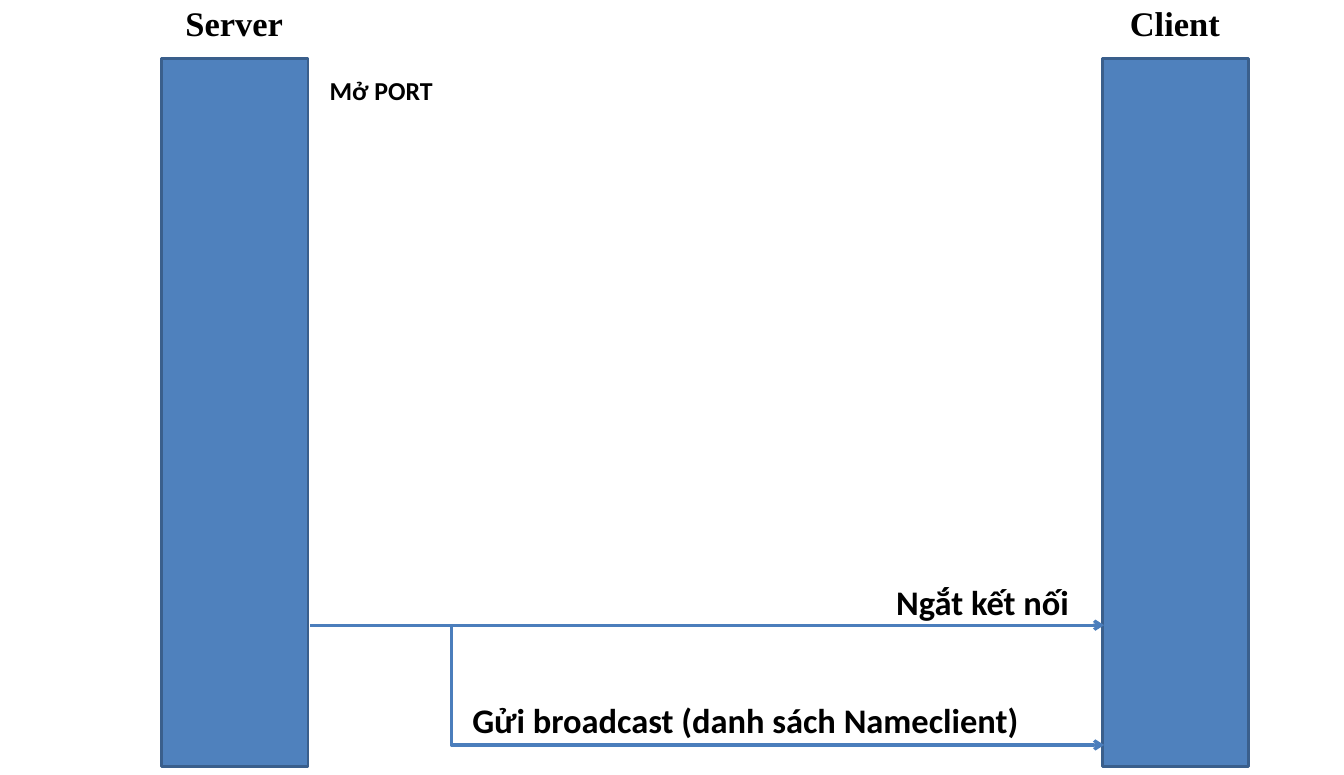
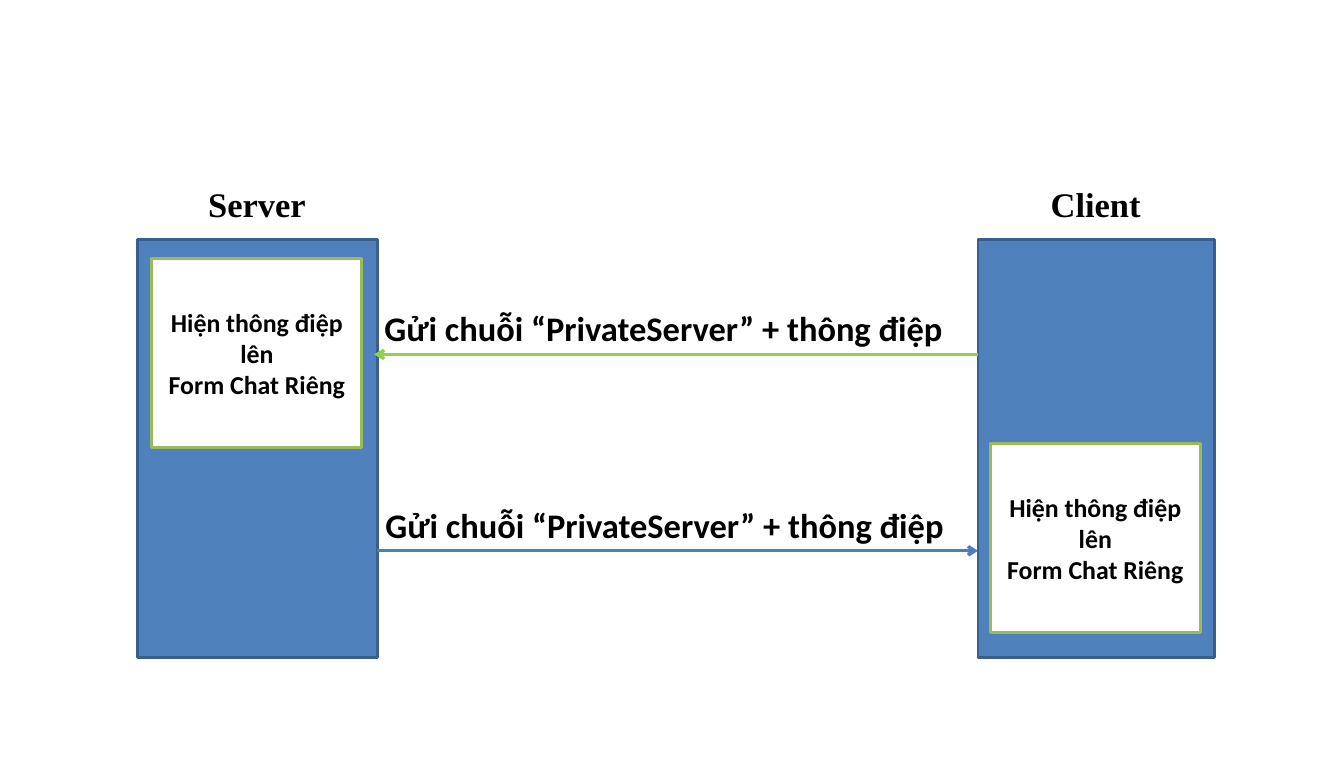
"""Build two sequence diagrams of a chat server and its client."""
from lxml import etree
from pptx import Presentation
from pptx.dml.color import RGBColor
from pptx.enum import shapes, text
from pptx.oxml import ns
from pptx.util import Inches, Pt

BLUE = RGBColor(0x4F, 0x81, 0xBD)
DARK_BLUE = RGBColor(0x3A, 0x5F, 0x8C)
ARROW_BLUE = RGBColor(0x4B, 0x7E, 0xBC)
ARROW_GREEN = RGBColor(0x92, 0xD0, 0x50)
CARD_GREEN = RGBColor(0x9B, 0xBB, 0x59)
WHITE = RGBColor(0xFF, 0xFF, 0xFF)
BLACK = RGBColor(0, 0, 0)

STRAIGHT = shapes.MSO_CONNECTOR.STRAIGHT
ELBOW = shapes.MSO_CONNECTOR.ELBOW
ROLES = [("Server", 1.15), ("Client", 1.08)]
PRIVATE = "Gửi chuỗi “PrivateServer” + thông điệp"
CARD_LINES = ["Hiện thông điệp lên", "Form Chat Riêng"]
BEND = 0.178

DIAGRAMS = [
    {
        "bars": [(1.56, 0.57, 1.42, 6.85), (10.66, 0.57, 1.42, 6.85)],
        "arrows": [
            (STRAIGHT, 3, 6.05, 10.68, 6.05, ARROW_BLUE),
            (ELBOW, 3, 6.05, 10.68, 7.21, ARROW_BLUE),
        ],
        "labels": [
            ("Mở PORT", 3.09, 0.67, 2.43, 0.4, 18),
            ("Gửi broadcast (danh sách Nameclient)", 4.47, 6.72, 5.54, 0.5, 24),
            ("Ngắt kết nối", 8.57, 5.57, 1.89, 0.5, 24),
        ],
        "cards": [],
    },
    {
        "bars": [(1.33, 2.32, 2.32, 4.04), (9.46, 2.32, 2.29, 4.04)],
        "arrows": [
            (STRAIGHT, 9.46, 3.43, 3.62, 3.43, ARROW_GREEN),
            (STRAIGHT, 3.65, 5.33, 9.46, 5.33, ARROW_BLUE),
        ],
        "labels": [
            (PRIVATE, 3.62, 2.92, 5.65, 0.5, 24),
            (PRIVATE, 3.63, 4.83, 5.65, 0.5, 24),
        ],
        "cards": [(1.47, 2.5), (9.58, 4.29)],
    },
]


def add_box(slide, left, top, width, height, fill, border):
    box = slide.shapes.add_shape(
        shapes.MSO_SHAPE.RECTANGLE, Inches(left), Inches(top), Inches(width), Inches(height))
    box.shadow.inherit = False
    box.fill.solid()
    box.fill.fore_color.rgb = fill
    box.line.color.rgb = border
    box.line.width = Pt(2)
    return box


def add_label(slide, words, left, top, width, height, size, font="Calibri"):
    label = slide.shapes.add_textbox(Inches(left), Inches(top), Inches(width), Inches(height))
    frame = label.text_frame
    frame.text = words
    frame.word_wrap = size == 18
    frame.auto_size = text.MSO_AUTO_SIZE.SHAPE_TO_FIT_TEXT
    style = frame.paragraphs[0].font
    style.name, style.size, style.bold = font, Pt(size), True
    style.color.rgb = BLACK


prs = Presentation()
prs.slide_width, prs.slide_height = Inches(13), Inches(7.5)

for diagram in DIAGRAMS:
    slide = prs.slides.add_slide(prs.slide_layouts[6])

    for (role, role_width), (left, top, width, height) in zip(ROLES, diagram["bars"]):
        add_box(slide, left, top, width, height, BLUE, DARK_BLUE)
        add_label(slide, role, left + (width - role_width) / 2, top - 0.6,
                  role_width, 0.5, 24, "Times New Roman")

    for route, x1, y1, x2, y2, color in diagram["arrows"]:
        arrow = slide.shapes.add_connector(route, Inches(x1), Inches(y1), Inches(x2), Inches(y2))
        arrow.line.color.rgb = color
        arrow.line.width = Pt(2.25)
        properties = arrow.element.spPr
        etree.SubElement(properties.find(ns.qn("a:ln")), ns.qn("a:tailEnd"), type="arrow")
        etree.SubElement(properties, ns.qn("a:effectLst"))
        if route == ELBOW:
            guides = properties.find(ns.qn("a:prstGeom")).find(ns.qn("a:avLst"))
            etree.SubElement(guides, ns.qn("a:gd"), name="adj1", fmla=f"val {BEND * 100000:.0f}")

    for label in diagram["labels"]:
        add_label(slide, *label)

    for left, top in diagram["cards"]:
        frame = add_box(slide, left, top, 2.03, 1.83, WHITE, CARD_GREEN).text_frame
        frame.word_wrap = True
        frame.vertical_anchor = text.MSO_ANCHOR.MIDDLE
        frame.text = "\n".join(CARD_LINES)
        for paragraph in frame.paragraphs:
            paragraph.alignment = text.PP_ALIGN.CENTER
            paragraph.font.name = "Calibri"
            paragraph.font.size = Pt(18)
            paragraph.font.bold = True
            paragraph.font.color.rgb = BLACK

prs.save("out.pptx")
